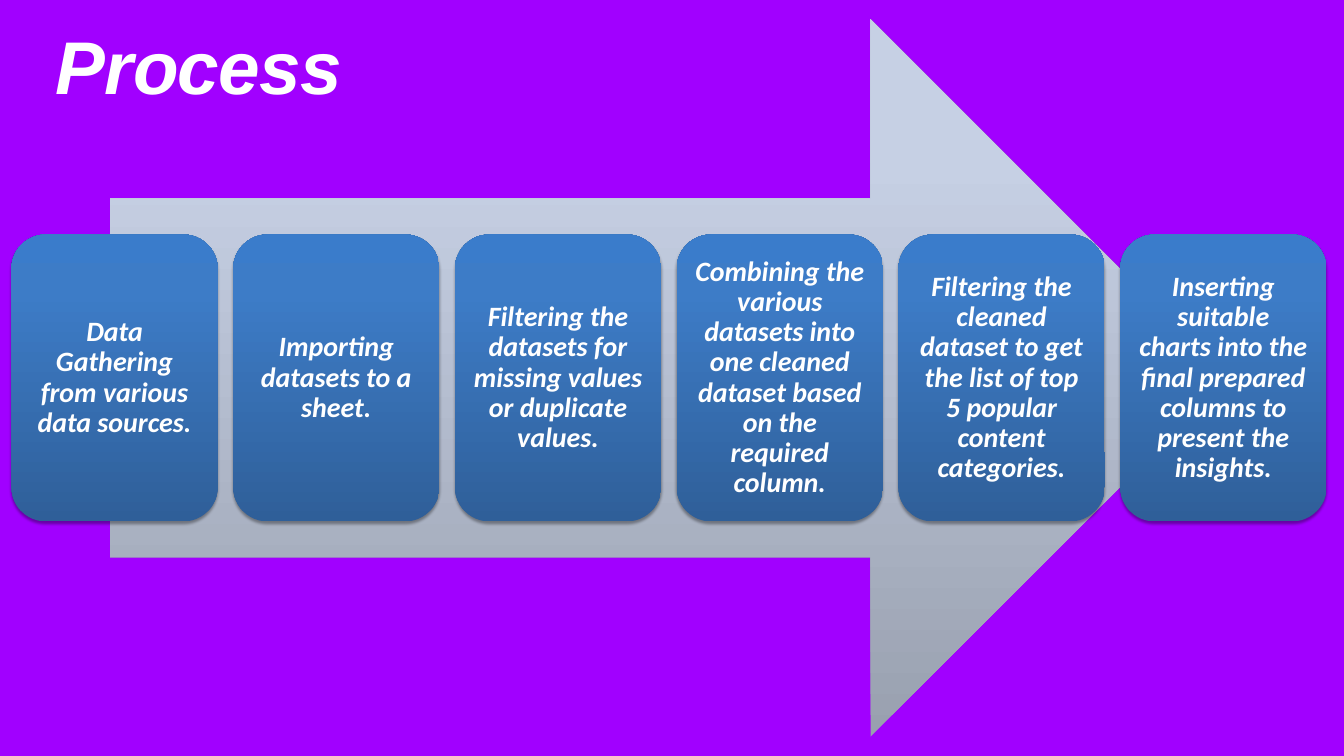
"""Build a process slide with six step cards over a broad arrow."""
from copy import deepcopy

from lxml import etree
from pptx import Presentation
from pptx.dml.color import RGBColor
from pptx.enum.shapes import MSO_SHAPE
from pptx.enum.text import MSO_ANCHOR, MSO_AUTO_SIZE, PP_ALIGN
from pptx.oxml.ns import qn
from pptx.util import Inches, Pt

ARROW = MSO_SHAPE.RIGHT_ARROW
CARD = MSO_SHAPE.ROUNDED_RECTANGLE
TOP, MIDDLE = MSO_ANCHOR.TOP, MSO_ANCHOR.MIDDLE
LEFT, CENTER = PP_ALIGN.LEFT, PP_ALIGN.CENTER
GROW = MSO_AUTO_SIZE.SHAPE_TO_FIT_TEXT
TITLE_ONLY = 5

COLORS = {
    "background": "A100FF",
    "text": "FFFFFF",
    "shadow": "000000",
    "arrow_dark": "99A0AF",
    "arrow_mid": "C6D0E4",
    "arrow_light": "C7D1E5",
    "card_dark": "2F5F99",
    "card_mid": "3D7CC7",
    "card_light": "3A7CCB",
}
STOP_POSITIONS = (0, 0.8, 1)
TITLE_FONT = {"name": "Arial", "size": Pt(80), "bold": True, "italic": True}
CARD_FONT = {"name": "Calibri", "size": Pt(30), "bold": True, "italic": True}

STEPS = (
    "Data Gathering from various data sources.",
    "Importing datasets to a sheet.",
    "Filtering the datasets for missing values or duplicate values.",
    "Combining the various datasets into one cleaned dataset based on the required column.",
    "Filtering the cleaned dataset to get the list of top 5 popular content categories.",
    "Inserting suitable charts into the final prepared columns to present the insights.",
)
CARD_LEFT, CARD_TOP, CARD_PITCH = 0.17, 3.49, 3.3
CARD_WIDTH, CARD_HEIGHT = 3.07, 4.27


def rgb(name):
    """Return the named colour."""
    return RGBColor.from_string(COLORS[name])


def apply_format(target, values):
    """Set each format value as an attribute of the target."""
    for name, value in values.items():
        setattr(target, name, value)


def set_text(shape, text, font, frame_format, paragraph_format, inset):
    """Write one formatted paragraph into the shape and return its run."""
    frame = shape.text_frame
    apply_format(frame, {"word_wrap": True, **frame_format})
    for side in ("left", "top", "right", "bottom"):
        setattr(frame, f"margin_{side}", Inches(inset))
    paragraph = frame.paragraphs[0]
    apply_format(paragraph, paragraph_format)
    run = paragraph.add_run()
    run.text = text
    apply_format(run.font, font)
    run.font.color.rgb = rgb("text")
    return run


def add_gradient_shape(slide, kind, left, top, width, height, palette):
    """Add a borderless shape that shades from dark at the bottom to light."""
    shape = slide.shapes.add_shape(
        kind, Inches(left), Inches(top), Inches(width), Inches(height))
    shape.shadow.inherit = False
    shape.line.fill.background()
    shape.fill.gradient()
    shape.fill.gradient_angle = 90
    stops = shape.element.spPr.find(".//" + qn("a:gsLst"))
    stops.append(deepcopy(stops[-1]))
    tones = ("dark", "mid", "light")
    for stop, position, tone in zip(shape.fill.gradient_stops, STOP_POSITIONS, tones):
        stop.position = position
        stop.color.rgb = rgb(f"{palette}_{tone}")
    return shape


def add_shadow(shape):
    """Give the shape a soft shadow straight below it."""
    effects = shape.element.spPr.find(qn("a:effectLst"))
    shadow = etree.SubElement(
        effects, qn("a:outerShdw"), blurRad=str(Pt(3.1)), dist=str(Pt(1.8)),
        dir="5400000", rotWithShape="0")
    color = etree.SubElement(shadow, qn("a:srgbClr"), val=COLORS["shadow"])
    etree.SubElement(color, qn("a:alpha"), val="35000")


def add_step_card(slide, index, text):
    """Add the card of one step at its place in the row."""
    card = add_gradient_shape(
        slide, CARD, CARD_LEFT + index * CARD_PITCH, CARD_TOP,
        CARD_WIDTH, CARD_HEIGHT, "card")
    add_shadow(card)
    set_text(card, text, CARD_FONT, {"vertical_anchor": MIDDLE},
             {"alignment": CENTER, "line_spacing": 0.9}, 0.12)


def set_title(slide, text):
    """Place and format the title in front of the diagram."""
    title = slide.shapes.title
    place = {"left": 0.83, "top": 0.29, "width": 4.99, "height": 1.35}
    apply_format(title, {name: Inches(value) for name, value in place.items()})
    run = set_text(title, text, TITLE_FONT,
                   {"vertical_anchor": TOP, "auto_size": GROW},
                   {"alignment": LEFT, "line_spacing": Pt(96)}, 0)
    run.font._element.set("spc", "-80")
    title.element.getparent().append(title.element)


def main():
    """Build and save the presentation."""
    presentation = Presentation()
    presentation.slide_width = Inches(20)
    presentation.slide_height = Inches(11.25)
    slide = presentation.slides.add_slide(presentation.slide_layouts[TITLE_ONLY])
    slide.background.fill.solid()
    slide.background.fill.fore_color.rgb = rgb("background")
    add_gradient_shape(slide, ARROW, 1.64, 0.29, 16.65, 10.67, "arrow")
    for index, text in enumerate(STEPS):
        add_step_card(slide, index, text)
    set_title(slide, "Process")
    presentation.save("out.pptx")


if __name__ == "__main__":
    main()
